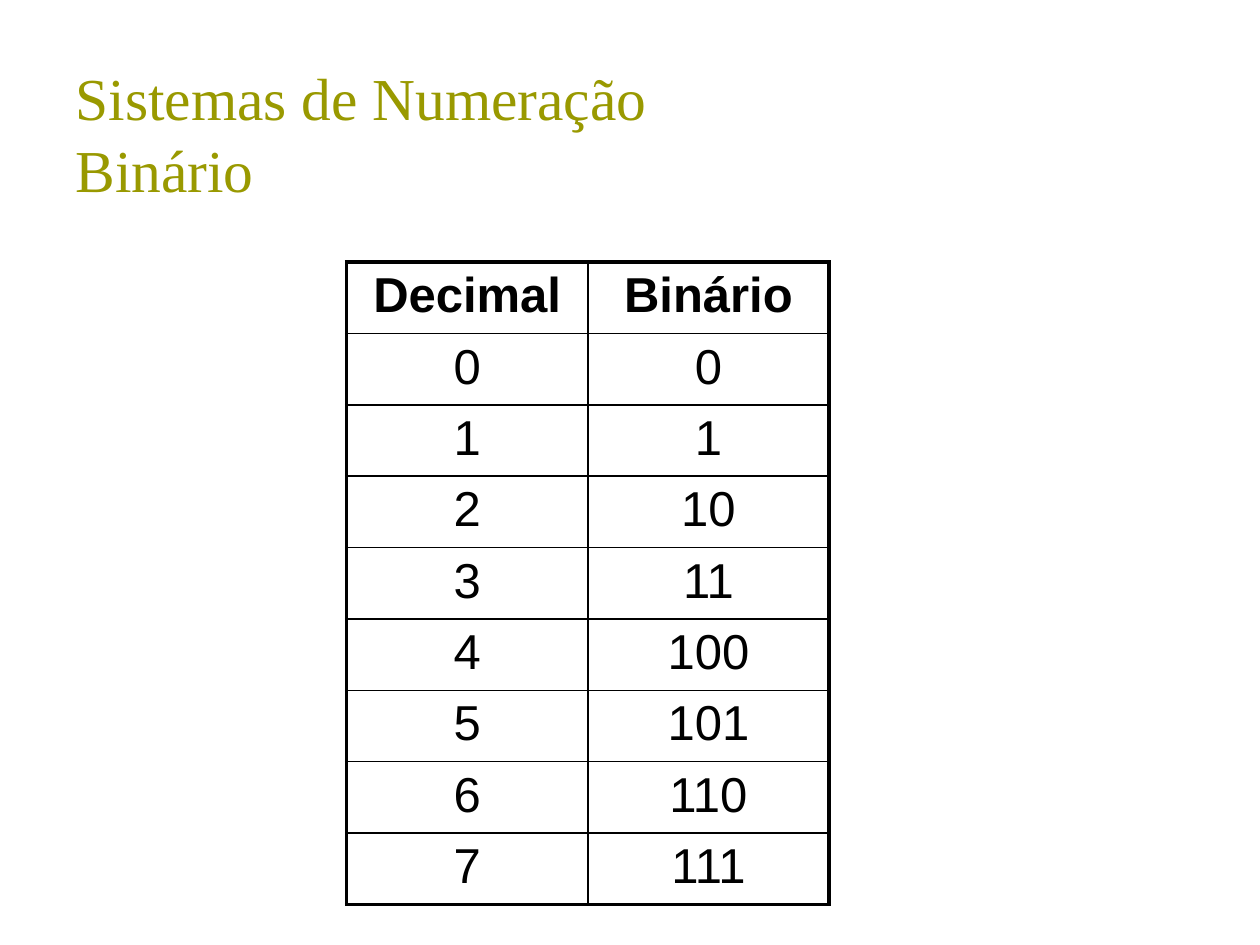
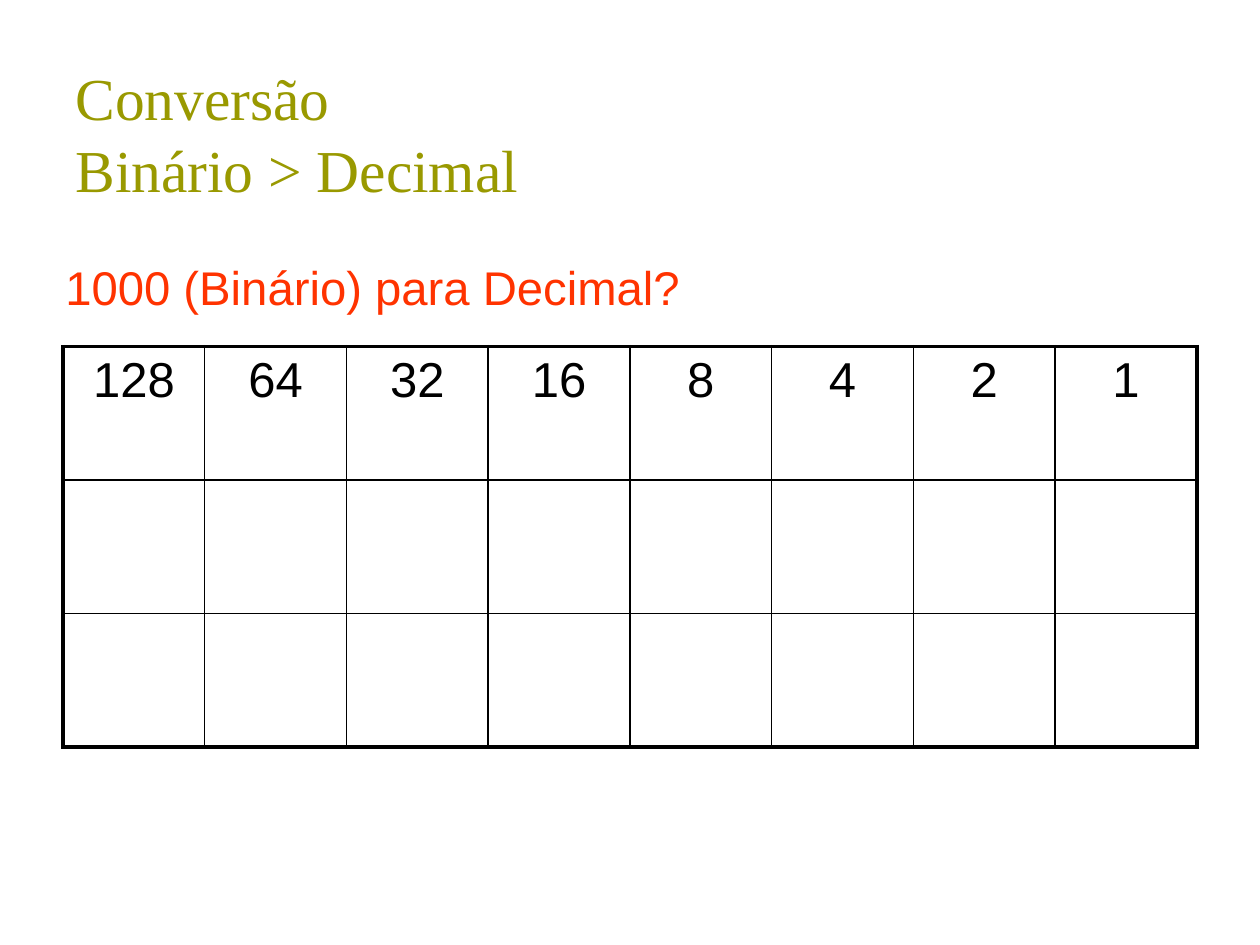
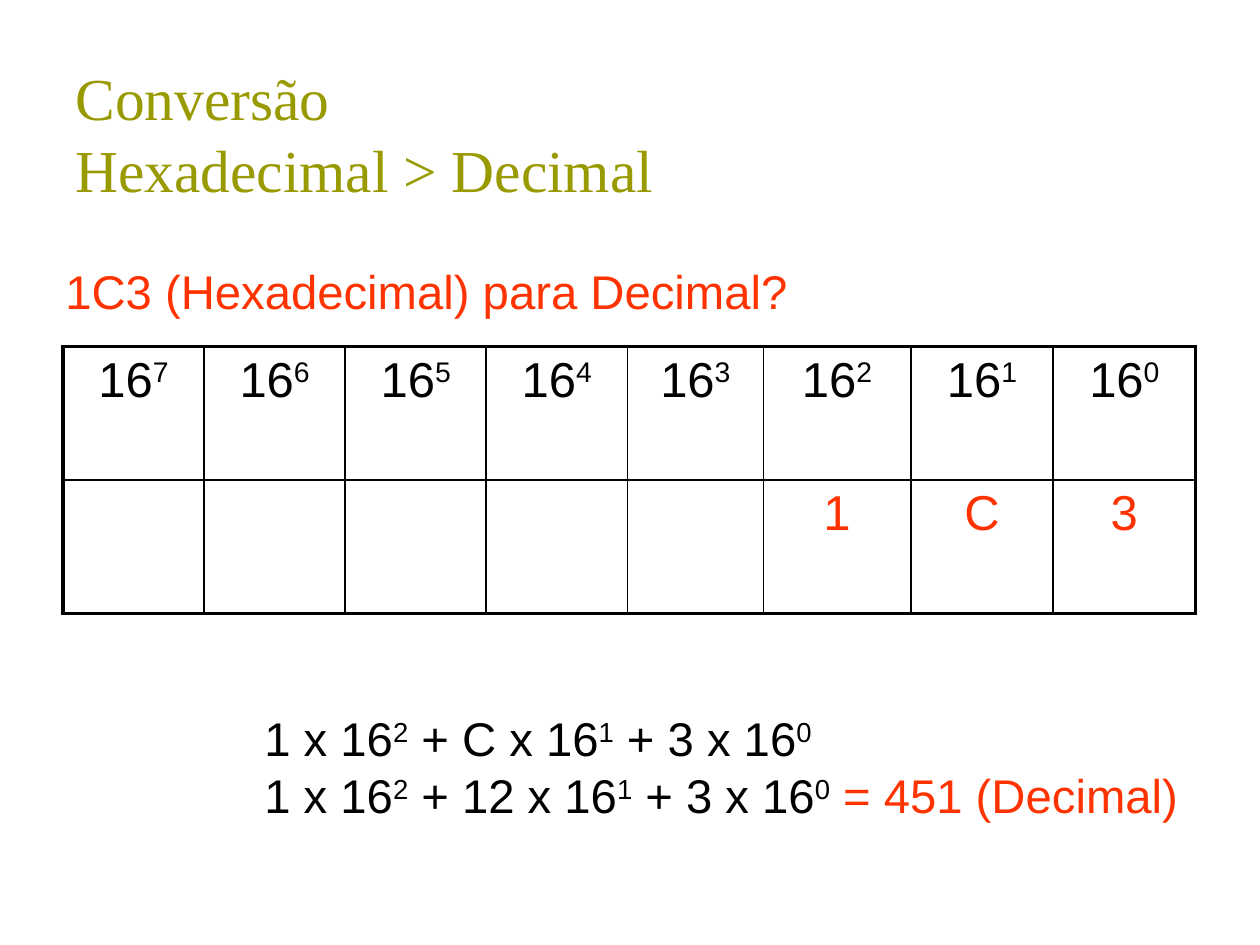
"""Builds three slides on number systems and conversion between bases."""
from lxml import etree
from pptx import Presentation
from pptx import util as u
from pptx.dml.color import RGBColor
from pptx.enum import text
from pptx.oxml.ns import qn

COLORS = {"title": "999900", "ink": "000000", "accent": "FF3300"}
FORMATS = {
    "title": {"name": "Times New Roman", "size": u.Pt(34), "bold": False},
    "body": {"name": "Arial", "size": u.Pt(27), "bold": False},
    "cell": {"name": "Arial", "size": u.Pt(28), "bold": False},
    "header": {"name": "Arial", "size": u.Pt(28), "bold": True},
}
OUTER, INNER = u.Pt(2.25), u.Pt(1)


class Deck:
    """Holds the presentation, its style and the current slide."""

    def __init__(self):
        self.prs = Presentation()
        self.prs.slide_width, self.prs.slide_height = u.Inches(10), u.Inches(7.5)

    def style_run(self, r, style, color):
        """Apply a named style and colour to a run."""
        for key, value in FORMATS[style].items():
            setattr(r.font, key, value)
        r.font.color.rgb = RGBColor.from_string(COLORS[color])

    def add_runs(self, p, markup, style, color="ink"):
        """Add runs to a paragraph; parts between carets are superscript."""
        for i, part in enumerate(markup.split("^")):
            if part:
                r = p.add_run()
                r.text = part
                self.style_run(r, style, color)
                if i % 2:
                    r.font._element.set("baseline", "30000")

    def slide(self, *lines):
        """Start a slide with a title of one or more lines."""
        self.s = self.prs.slides.add_slide(self.prs.slide_layouts[5])
        sp = self.s.shapes.title
        sp.left, sp.top, sp.width, sp.height = map(u.Inches, (0.5, 0.42, 9, 1.25))
        tf = sp.text_frame
        tf.auto_size = text.MSO_AUTO_SIZE.NONE
        tf.vertical_anchor = text.MSO_ANCHOR.BOTTOM
        p = tf.paragraphs[0]
        p.alignment = text.PP_ALIGN.LEFT
        p.text = "\v".join(lines)
        for r in p.runs:
            self.style_run(r, "title", "title")
        for br in p._p.findall(qn("a:br")):
            etree.SubElement(br, qn("a:rPr"), sz=str(int(FORMATS["title"]["size"].pt * 100)))

    def textbox(self, box, paragraphs, wrap=True):
        """Add a text box whose paragraphs are lists of (markup, colour)."""
        tf = self.s.shapes.add_textbox(*map(u.Inches, box)).text_frame
        tf.word_wrap = wrap
        tf.auto_size = text.MSO_AUTO_SIZE.SHAPE_TO_FIT_TEXT
        for i, pieces in enumerate(paragraphs):
            p = tf.add_paragraph() if i else tf.paragraphs[0]
            for markup, color in pieces:
                self.add_runs(p, markup, "body", color)

    def question(self, top, width, markup):
        """Add the question above a table."""
        self.textbox((0.42, top, width, 0.55), [[(markup, "accent")]], wrap=False)

    def borders(self, cell, widths):
        """Draw the four sides of a cell."""
        tc_pr = cell._tc.get_or_add_tcPr()
        for i, (side, width) in enumerate(widths.items()):
            ln = etree.Element(qn(f"a:ln{side}"), w=str(width))
            fill = etree.SubElement(ln, qn("a:solidFill"))
            etree.SubElement(fill, qn("a:srgbClr"), val=COLORS["ink"])
            tc_pr.insert(i, ln)

    def table(self, box, rows, styles=None, colors=None, widths=None):
        """Add a ruled table; styles and colors are keyed by row."""
        styles, colors = styles or {}, colors or {}
        last_row, last_col = len(rows) - 1, len(rows[0]) - 1
        shape = self.s.shapes.add_table(len(rows), len(rows[0]), *map(u.Inches, box))
        tbl = shape.table
        tbl.first_row = tbl.horz_banding = False
        for col, width in enumerate(widths or []):
            tbl.columns[col].width = u.Inches(width)
        for i, row in enumerate(rows):
            for j, markup in enumerate(row):
                cell = tbl.cell(i, j)
                cell.fill.background()
                p = cell.text_frame.paragraphs[0]
                p.alignment = text.PP_ALIGN.CENTER
                self.add_runs(p, markup, styles.get(i, "cell"), colors.get(i, "ink"))
                self.borders(cell, {
                    "L": INNER if j else OUTER,
                    "R": OUTER if j == last_col else INNER,
                    "T": INNER if i else OUTER,
                    "B": OUTER if i == last_row else INNER,
                })


def main():
    """Build and save the deck."""
    d = Deck()

    d.slide("Sistemas de Numeração", "Binário")
    counts = [(str(n), f"{n:b}") for n in range(8)]
    d.table((2.75, 2.08, 3.83, 5.1), [("Decimal", "Binário"), *counts], styles={0: "header"})

    d.slide("Conversão", "Binário > Decimal")
    weights = [str(2 ** n) for n in reversed(range(8))]
    d.table((0.5, 2.75, 9, 3.18), [weights, [""] * 8, [""] * 8])
    d.question(2, 5.08, "1000 (Binário) para Decimal?")

    d.slide("Conversão", "Hexadecimal > Decimal")
    powers = [f"16^{n}^" for n in reversed(range(8))]
    digits = [""] * 5 + list("1C3")
    d.table((0.5, 2.75, 9, 2.12), [powers, digits], colors={1: "accent"},
            widths=[1.12] * 4 + [1.08, 1.17] + [1.13] * 2)
    d.question(2.03, 5.93, "1C3 (Hexadecimal) para Decimal?")
    d.textbox((2, 5.58, 7.75, 1), [
        [("1 x 16^2^ + C x 16^1^ + 3 x 16^0^", "ink")],
        [("1 x 16^2^ + 12 x 16^1^ + 3 x 16^0^", "ink"), (" = 451 (Decimal)", "accent")],
    ])

    d.prs.save("out.pptx")


if __name__ == "__main__":
    main()
